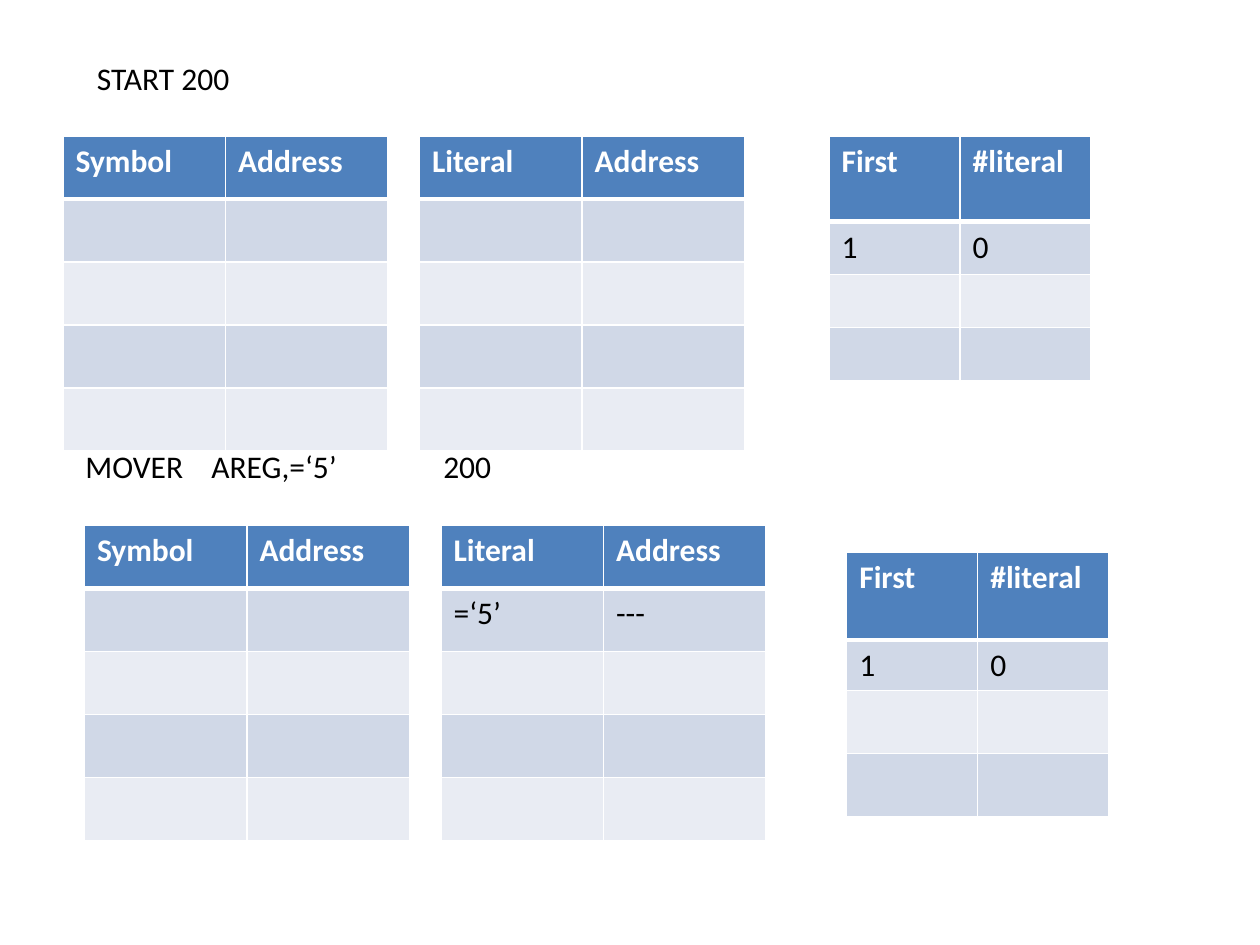
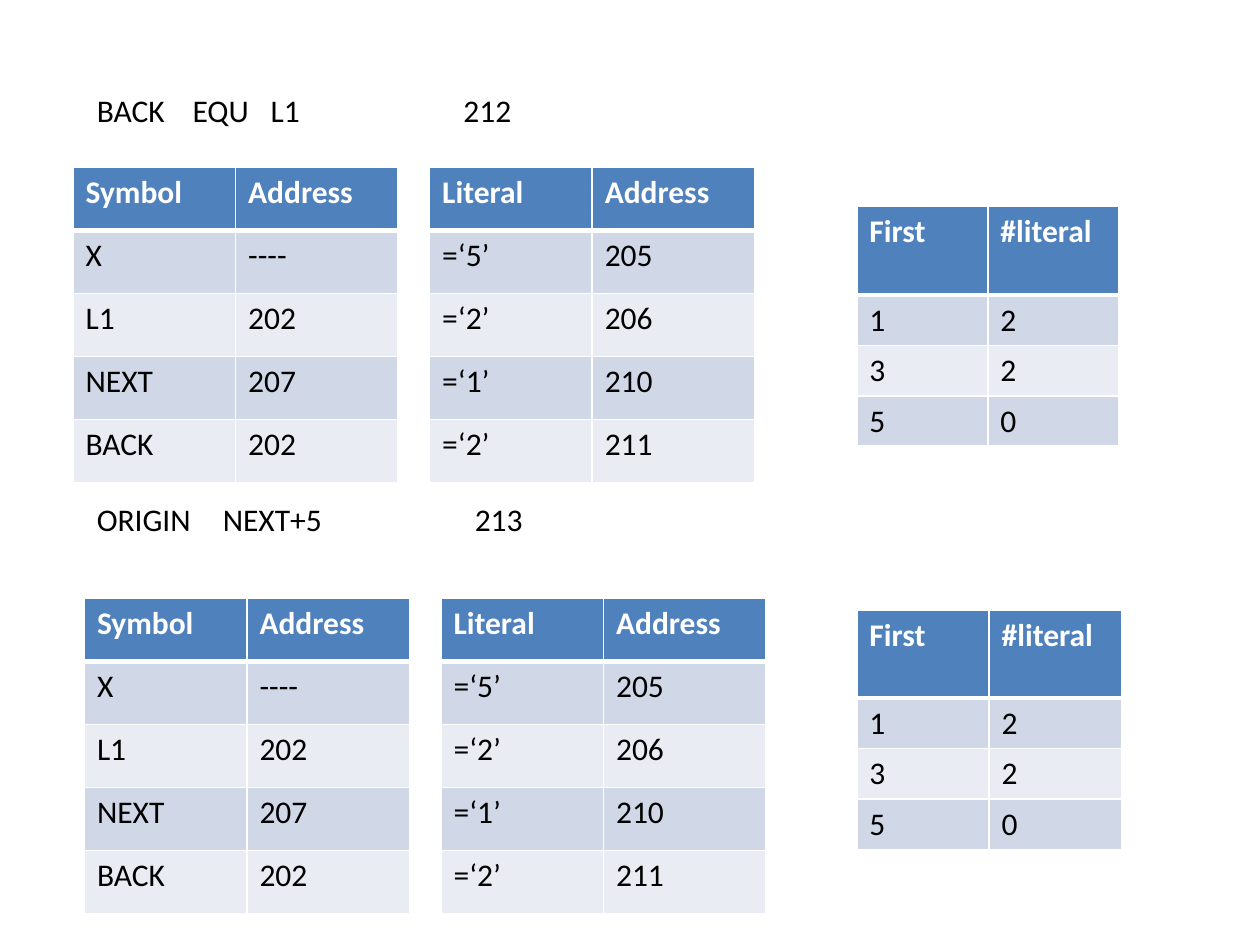
from lxml import etree
from pptx import Presentation
from pptx.dml.color import RGBColor as RGB
from pptx.oxml import parse_xml
from pptx.oxml.ns import nsdecls, qn
from pptx.util import Inches, Pt

WHITE = RGB(0xFF, 0xFF, 0xFF)
BLACK = RGB(0, 0, 0)
BLUE = RGB(0x4F, 0x81, 0xBD)
BANDS = RGB(0xD0, 0xD8, 0xE7), RGB(0xE9, 0xEC, 0xF3)
FONT = "Calibri"
THIN, THICK = 0.96, 3

GAP = 2.83  # from the symbol table to the literal table
WIDE, NARROW = 1.29, 1.04
TALL = [0.5] * 5
LOW = [0.7, 0.4, 0.4, 0.4]

SYMBOLS = [("X", "----"), ("L1", "202"), ("NEXT", "207"), ("BACK", "202")]
LITERALS = [("=‘5’", "205"), ("=‘2’", "206"), ("=‘1’", "210"), ("=‘2’", "211")]
POOLS = [("1", "2"), ("3", "2"), ("5", "0")]
FIRST_POOL = [("1", "0")]


def write(frame, text, size=18, color=BLACK, bold=False, tabs=()):
    """Put one line of text in a frame, with tab stops in inches."""
    line = frame.paragraphs[0]
    if tabs:
        stops = etree.SubElement(line._p.get_or_add_pPr(), qn("a:tabLst"))
        for stop in tabs:
            etree.SubElement(stops, qn("a:tab"), pos=str(Inches(stop)), algn="l")
    run = line.add_run()
    run.text = text
    font = run.font
    font.name, font.size, font.bold = FONT, Pt(size), bold
    font.color.rgb = color


class Deck:
    """Holds the presentation and the slide being filled."""

    def __init__(self):
        self.show = Presentation()
        self.show.slide_width, self.show.slide_height = Inches(10), Inches(7.5)

    def page(self):
        self.slide = self.show.slides.add_slide(self.show.slide_layouts[6])

    def label(self, text, left, top, width, tabs=()):
        box = self.slide.shapes.add_textbox(
            Inches(left), Inches(top), Inches(width), Inches(0.4))
        box.text_frame.word_wrap = True
        write(box.text_frame, text, tabs=tabs)

    def edge(self, cell, row):
        """Draw white borders, thick between the header and the body."""
        top = THICK if row == 1 else THIN
        base = THICK if row == 0 else THIN
        for side, width in zip("LRTB", (THIN, THIN, top, base)):
            cell._tc.get_or_add_tcPr().append(parse_xml(
                f'<a:ln{side} {nsdecls("a")} w="{Pt(width)}"><a:solidFill>'
                f'<a:srgbClr val="{WHITE}"/></a:solidFill></a:ln{side}>'))

    def grid(self, heads, data, left, top, col, rows):
        """Draw a two-column table; rows without data stay empty."""
        table = self.slide.shapes.add_table(
            len(rows), len(heads), Inches(left), Inches(top),
            Inches(col * len(heads)), Inches(sum(rows))).table
        for column in table.columns:
            column.width = Inches(col)
        for r, height in enumerate(rows):
            table.rows[r].height = Inches(height)
            texts = [heads, *data][r] if r <= len(data) else ()
            for c in range(len(heads)):
                cell = table.cell(r, c)
                self.edge(cell, r)
                cell.fill.solid()
                cell.fill.fore_color.rgb = BANDS[(r - 1) % 2] if r else BLUE
                if texts:
                    write(cell.text_frame, texts[c], bold=r == 0,
                          color=BLACK if r else WHITE)

    def pair(self, left, top, symbols=(), literals=()):
        """Place the symbol table and the literal table side by side."""
        self.grid(("Symbol", "Address"), symbols, left, top, WIDE, TALL)
        self.grid(("Literal", "Address"), literals, left + GAP, top, WIDE, TALL)

    def pool(self, data, left, top, rows=LOW, col=NARROW):
        self.grid(("First", "#literal"), data, left, top, col, rows)


def main():
    deck = Deck()

    deck.page()
    deck.pair(0.5, 1.08)
    deck.pool(FIRST_POOL, 6.58, 1.08, rows=[0.68, 0.42, 0.42, 0.42])
    deck.label("START 200", 0.67, 0.42, 2.17)
    deck.label("MOVER\tAREG,=‘5’", 0.58, 3.5, 2.5, tabs=[1])
    deck.label("200", 3.42, 3.5, 1.33)
    deck.pair(0.67, 4.17, literals=[("=‘5’", "---")])
    deck.pool(FIRST_POOL, 6.72, 4.38, rows=[0.7, 0.4, 0.5, 0.5])

    deck.page()
    deck.label("BACK\tEQU\tL1", 0.67, 0.67, 2.83, tabs=[0.76, 1.38])
    deck.label("212", 3.58, 0.67, 1.33)
    deck.pair(0.58, 1.33, SYMBOLS, LITERALS)
    deck.label("ORIGIN\tNEXT+5\t213", 0.67, 3.92, 5.5, tabs=[1, 3])
    deck.pair(0.67, 4.75, SYMBOLS, LITERALS)
    deck.pool(POOLS, 6.8, 1.64)
    deck.pool(POOLS, 6.8, 4.84, col=1.05)

    deck.show.save("out.pptx")


if __name__ == "__main__":
    main()
